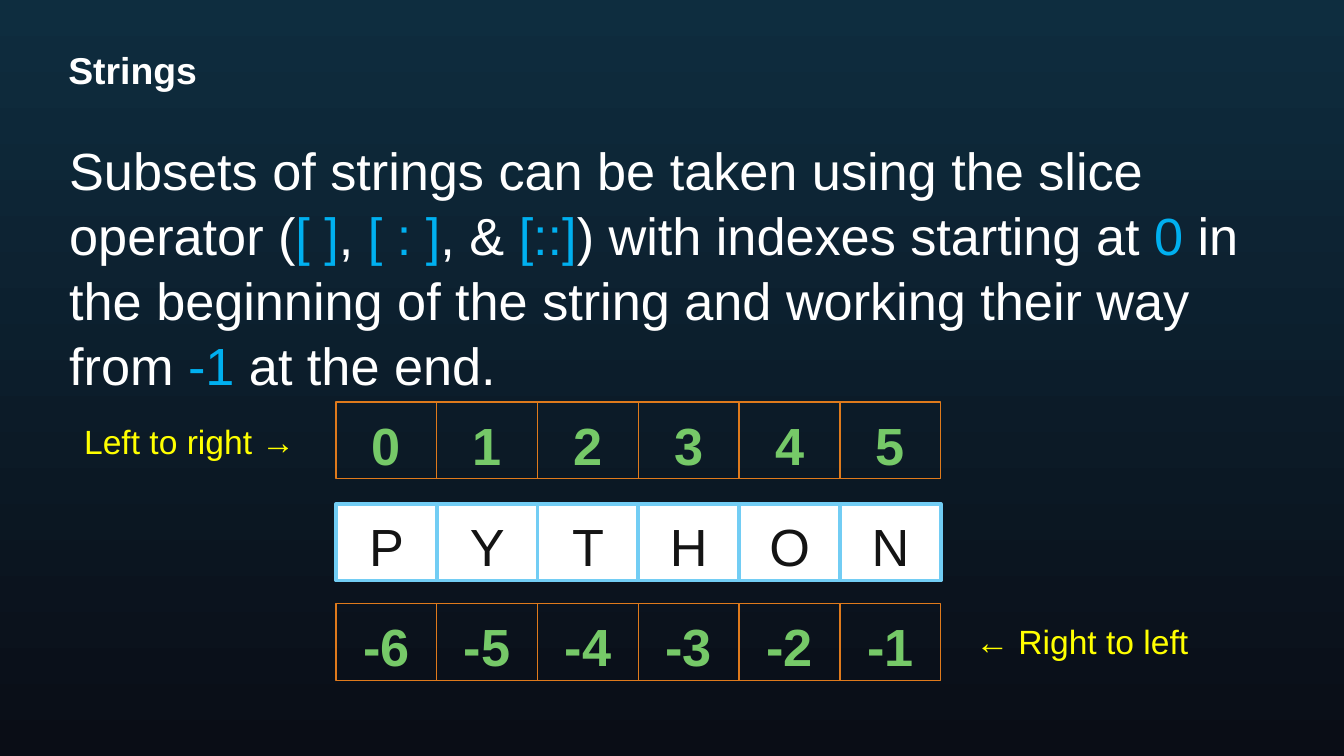
from pptx import Presentation
from pptx.dml.color import RGBColor
from pptx.enum.shapes import MSO_SHAPE as Kind
from pptx.enum.text import MSO_ANCHOR as Anchor, PP_ALIGN as Align
from pptx.util import Pt

WHITE = RGBColor(0xFF, 0xFF, 0xFF)
INK = RGBColor(0x14, 0x14, 0x14)
BLUE = RGBColor(0x00, 0xB0, 0xF0)
SKY = RGBColor(0x72, 0xCD, 0xF4)
GREEN = RGBColor(0x76, 0xC9, 0x68)
ORANGE = RGBColor(0xDF, 0x7A, 0x1C)
YELLOW = RGBColor(0xFF, 0xFF, 0x00)
TOP = RGBColor(0x0E, 0x2D, 0x3F)
BASE = RGBColor(0x0A, 0x0D, 0x16)


class Deck:
    face = "Arial"
    big = 28
    left, wide, high = 180, 54, 41

    def __init__(self, width, height):
        self.file = Presentation()
        self.file.slide_width, self.file.slide_height = Pt(width), Pt(height)
        self.slide = self.file.slides.add_slide(self.file.slide_layouts[6])

    def back(self, first, last):
        fill = self.slide.background.fill
        fill.gradient()
        fill.gradient_angle = 270
        for stop, color in zip(fill.gradient_stops, (first, last)):
            stop.color.rgb = color

    def font(self, item, size, color, bold=False):
        font = item.font
        font.name, font.size, font.bold = self.face, Pt(size), bold
        font.color.rgb = color

    def text(self, box, words, size, color, bold=False, wrap=True,
             anchor=Anchor.TOP, inset=3.6):
        """Words is a list of (text, color) pairs or one string."""
        shape = self.slide.shapes.add_textbox(*map(Pt, box))
        frame = shape.text_frame
        frame.word_wrap, frame.vertical_anchor = wrap, anchor
        frame.margin_top = Pt(inset)
        para = frame.paragraphs[0]
        self.font(para, size, color, bold)
        if isinstance(words, str):
            para.text = words
            return para
        for part, tint in words:
            run = para.add_run()
            run.text = part
            self.font(run, size, tint, bold)
        return para

    def row(self, top, marks, color, edge, weight, fill=None, bold=False):
        for i, mark in enumerate(marks):
            cell = self.slide.shapes.add_shape(
                Kind.RECTANGLE, Pt(self.left + i * self.wide), Pt(top),
                Pt(self.wide), Pt(self.high))
            cell.shadow.inherit = False
            if fill is None:
                cell.fill.background()
            else:
                cell.fill.solid()
                cell.fill.fore_color.rgb = fill
            cell.line.color.rgb = edge
            cell.line.width = Pt(weight)
            frame = cell.text_frame
            frame.vertical_anchor = Anchor.MIDDLE
            frame.margin_top, frame.margin_bottom = Pt(4), Pt(0)
            para = frame.paragraphs[0]
            para.text, para.alignment = str(mark), Align.CENTER
            self.font(para, self.big, color, bold)


def main():
    deck = Deck(720, 405)
    deck.back(TOP, BASE)

    # Body and title
    body = deck.text((30, 67, 660, 309.6), [
        ("Subsets of strings can be taken using the slice operator (", WHITE),
        ("[ ]", BLUE), (", ", WHITE), ("[ : ]", BLUE), (", & ", WHITE),
        ("[::]", BLUE), (") with indexes starting at ", WHITE), ("0", BLUE),
        (" in the beginning of the string and working their way from ", WHITE),
        ("-1", BLUE), (" at the end.", WHITE),
    ], deck.big, WHITE, inset=5.5)
    body.line_spacing = 1.04
    deck.text((29.5, 19.4, 661, 36), "Strings", 20, WHITE, bold=True,
              anchor=Anchor.MIDDLE)

    # Letters between the two rows of indexes
    word = "PYTHON"
    size = len(word)
    deck.row(215.5, range(size), GREEN, ORANGE, 0.75, bold=True)
    deck.row(270, word, INK, SKY, 2, fill=WHITE)
    deck.row(323.5, range(-size, 0), GREEN, ORANGE, 0.75, bold=True)

    # Reading directions
    deck.text((38, 222, 130, 29), "Left to right →", 18, YELLOW)
    deck.text((515.5, 329, 134.5, 29), "← Right to left", 18, YELLOW,
              wrap=False)

    deck.file.save("out.pptx")


if __name__ == "__main__":
    main()
